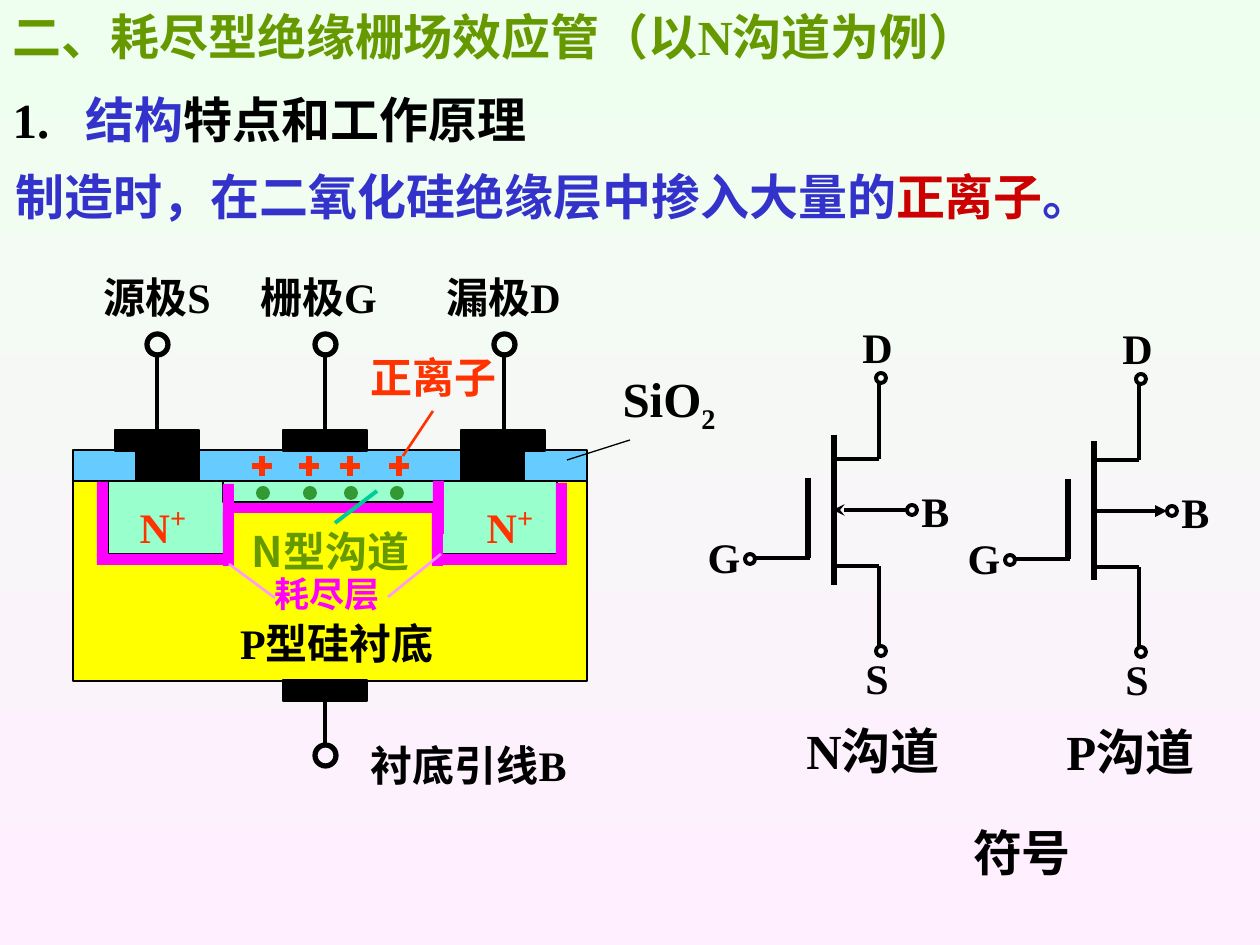
from lxml.etree import SubElement
from pptx import Presentation
from pptx.dml.color import RGBColor
from pptx.enum.shapes import MSO_CONNECTOR as CXN, MSO_SHAPE as SHP
from pptx.enum.text import MSO_ANCHOR as ANC, MSO_AUTO_SIZE as FIT, PP_ALIGN as AL
from pptx.oxml.ns import qn
from pptx.util import Emu, Pt

LATIN, CJK = "Times New Roman", "Noto Sans CJK SC"
BLACK, WHITE, BLUE, RED, OLIVE = "000000", "FFFFFF", "3333CC", "CC0000", "669900"
MAGENTA, PINK, MINT, ION, GREEN = "FF00FF", "FF99FF", "99FFCC", "FF3300", "339933"
TEAL, SKY, YELLOW = "00CC99", "66CCFF", "FFFF00"

TITLE = (0, 0, 1021, 72), [("二、耗尽型绝缘栅场效应管（以N沟道为例）", OLIVE)]
HEADING = (0, 83, 703, 72), [("1.\t", BLACK), ("结构", BLUE), ("特点和工作原理", BLACK)]
HEADING_INDENT = 73
NOTE = (3, 160, 1101, 72), [
    ("制造时，在二氧化硅绝缘层中掺入大量的", BLUE), ("正离子", RED), ("。", BLUE)]
SYMBOL_NAME = (940, 816, 164, 72), [("符号", BLACK)]

LAYERS = [
    (73, 460, 514, 221, YELLOW, BLACK),
    (441, 481, 116, 73, MINT, BLACK),
    (73, 450, 514, 31, SKY, BLACK),
    (136, 450, 63, 31, BLACK, BLACK),
    (461, 450, 63, 31, BLACK, BLACK),
    (115, 430, 84, 21, BLACK, BLACK),
    (461, 430, 84, 21, BLACK, BLACK),
    (283, 430, 84, 21, BLACK, BLACK),
    (108, 481, 116, 73, MINT, BLACK),
    (97, 482, 11, 73, MAGENTA, None),
    (556, 483, 11, 73, MAGENTA, None),
    (97, 554, 126, 11, MAGENTA, None),
    (441, 554, 126, 11, MAGENTA, None),
    (223, 513, 11, 53, MAGENTA, None),
    (432, 513, 11, 53, MAGENTA, None),
    (227, 503, 214, 10, MAGENTA, None),
    (223, 481, 214, 21, MINT, BLACK),
    (223, 484, 11, 53, MAGENTA, None),
    (433, 481, 11, 53, MAGENTA, None),
]
BASE_CONTACT = (283, 680, 84, 21)
TERMINALS = [157, 325, 504]
ELECTRONS = [258, 305, 346, 392]
IONS = [262, 309, 350, 399]
LEADERS = [
    (567, 460, 630, 440, BLACK, 0.75),
    (229, 564, 275, 598, PINK, 1.5),
    (388, 597, 441, 554, PINK, 1.5),
    (433, 411, 403, 456, ION, 1.5),
    (377, 491, 335, 523, TEAL, 2.25),
]
LABELS = [
    ((223, 611, 228, 63), [("P型硅衬底", BLACK)]),
    ((86, 265, 142, 63), [("源极S", BLACK)]),
    ((243, 265, 151, 63), [("栅极G", BLACK)]),
    ((430, 265, 147, 63), [("漏极D", BLACK)]),
    ((353, 733, 231, 63), [("衬底引线B", BLACK)]),
    ((262, 566, 130, 55), [("耗尽层", MAGENTA, 20)]),
    ((127, 488, 72, 72), [("N", ION), ("+", ION, 28, 30)]),
    ((474, 488, 72, 72), [("N", ION), ("+", ION, 28, 30)]),
    ((358, 345, 151, 63), [("正离子", ION)]),
    ((610, 362, 118, 79), [("SiO", BLACK, 28), ("2", BLACK, 28, -25)]),
]
CHANNEL_LABEL = (233, 519, 195, 63), [("N型沟道", OLIVE)]

SYMBOLS = [
    ("N沟道", 0, 0, (435, 585), "tailEnd", "stealth"),
    ("P沟道", 260, 1, (440, 579), "headEnd", "triangle"),
]
CHANNEL_X = 834
BULK_LINE = (907, 510, 833, 510)
SYMBOL_LINES = [
    (808, 478, 808, 558, 3), (752, 558, 810, 558, 2.25),
    (835, 459, 879, 459, 2.25), (835, 566, 879, 566, 2.25),
    (879, 459, 879, 378, 2.25), (879, 645, 879, 566, 2.25),
]
SYMBOL_PINS = [(907, 505), (745, 554), (876, 373), (876, 646)]
SYMBOL_LETTERS = [("D", 850, 315, 55), ("B", 907, 479, 57), ("S", 853, 646, 48), ("G", 695, 525, 58)]
CAPTION = (794, 714, 208, 72)


def px(n):
    return Emu(round(n * 914400 / 126))


def rgb(c):
    return RGBColor.from_string(c)


def write(sp, runs, size=24, align=AL.CENTER, anchor=ANC.MIDDLE, latin=LATIN):
    tf = sp.text_frame
    left = align == AL.LEFT
    side = Pt(7.2 if left else 0)
    fmt = dict(word_wrap=left, vertical_anchor=anchor, margin_left=side,
               margin_right=side, auto_size=FIT.SHAPE_TO_FIT_TEXT)
    for k, v in fmt.items():
        setattr(tf, k, v)
    p = tf.paragraphs[0]
    p.alignment, p.space_before = align, Pt(0)
    for text, color, *rest in runs:
        r = p.add_run()
        r.text = text
        for k, v in dict(name=latin, size=Pt(rest[0] if rest else size), bold=True).items():
            setattr(r.font, k, v)
        r.font.color.rgb = rgb(color)
        rPr = r._r.get_or_add_rPr()
        SubElement(rPr, qn("a:ea")).set("typeface", CJK)
        if len(rest) > 1:
            rPr.set("baseline", str(rest[1] * 1000))


def place(sp, box):
    for k, v in zip(("left", "top", "width", "height"), box):
        setattr(sp, k, px(v))


def label(shapes, box, runs, **fmt):
    write(shapes.add_textbox(*map(px, box)), runs, **fmt)


def shape(shapes, kind, box, fill, line, width=0.75):
    sp = shapes.add_shape(kind, *map(px, box))
    sp.shadow.inherit = False
    if fill:
        sp.fill.solid()
        sp.fill.fore_color.rgb = rgb(fill)
    else:
        sp.fill.background()
    if line:
        sp.line.color.rgb = rgb(line)
        sp.line.width = Pt(width)
    else:
        sp.line.fill.background()
    return sp


def wire(shapes, ends, width=2.25, color=BLACK, arrow=None):
    c = shapes.add_connector(CXN.STRAIGHT, *map(px, ends))
    c.line.color.rgb = rgb(color)
    c.line.width = Pt(width)
    if arrow:
        end, kind = arrow
        SubElement(c.line._get_or_add_ln(), qn("a:" + end)).set("type", kind)
    SubElement(c._element.spPr, qn("a:effectLst"))
    return c


def draw_structure(shapes):
    for *box, fill, line in LAYERS:
        shape(shapes, SHP.RECTANGLE, box, fill, line)
    base = shape(shapes, SHP.RECTANGLE, BASE_CONTACT, BLACK, BLACK)
    for x in TERMINALS:
        shape(shapes, SHP.OVAL, (x - 10, 334, 21, 21), None, BLACK, 3)
        wire(shapes, (x, 355, x, 440))
    shape(shapes, SHP.OVAL, (315, 745, 21, 21), None, BLACK, 3)
    wire(shapes, (325, 701, 325, 745)).begin_connect(base, 2)
    for x in ELECTRONS:
        shape(shapes, SHP.OVAL, (x, 488, 10, 10), GREEN, GREEN, 2.25)
    for x in IONS:
        wire(shapes, (x - 10, 466, x + 10, 466), 3, ION)
        wire(shapes, (x, 456, x, 476), 3, ION)
    for *ends, color, width in LEADERS:
        wire(shapes, ends, width, color)
    for box, runs in LABELS:
        label(shapes, box, runs)
    label(shapes, *CHANNEL_LABEL, latin=CJK)


def draw_symbol(shapes, name, dx, dy, channel, *arrow):
    def shift(ends):
        return [v + d for v, d in zip(ends, (dx, dy, dx, dy))]

    for *ends, width in SYMBOL_LINES:
        wire(shapes, shift(ends), width)
    top, bottom = channel
    wire(shapes, shift((CHANNEL_X, top, CHANNEL_X, bottom)), 3)
    wire(shapes, shift(BULK_LINE), arrow=arrow)
    for x, y in SYMBOL_PINS:
        shape(shapes, SHP.OVAL, (x + dx, y + dy, 10, 10), WHITE, BLACK, 2.25)
    for letter, x, y, w in SYMBOL_LETTERS:
        label(shapes, (x + dx, y + dy, w, 63), [(letter, BLACK)])
    x, y, w, h = CAPTION
    label(shapes, (x + dx, y + dy, w, h), [(name, BLACK)], size=28, align=AL.LEFT, anchor=ANC.TOP)


def main():
    prs = Presentation()
    prs.slide_width, prs.slide_height = px(1260), px(945)
    s = prs.slides.add_slide(prs.slide_layouts[1])
    bg = s.background.fill
    bg.gradient()
    bg.gradient_angle = 270
    for stop, pos, c in zip(bg.gradient_stops, (0, 1), ("EFFFEF", "FFEFFF")):
        stop.position, stop.color.rgb = pos, rgb(c)

    title, body = s.placeholders
    place(title, TITLE[0])
    write(title, TITLE[1], size=28, align=AL.LEFT, anchor=ANC.TOP)
    place(body, HEADING[0])
    pPr = body.text_frame.paragraphs[0]._p.get_or_add_pPr()
    pPr.set("marL", str(px(HEADING_INDENT)))
    pPr.set("indent", str(-px(HEADING_INDENT)))
    SubElement(pPr, qn("a:buNone"))
    write(body, HEADING[1], size=28, align=AL.LEFT)

    for box, runs in (NOTE, SYMBOL_NAME):
        label(s.shapes, box, runs, size=28)
    for symbol in SYMBOLS:
        draw_symbol(s.shapes.add_group_shape().shapes, *symbol)
    draw_structure(s.shapes.add_group_shape().shapes)
    prs.save("out.pptx")


if __name__ == "__main__":
    main()
